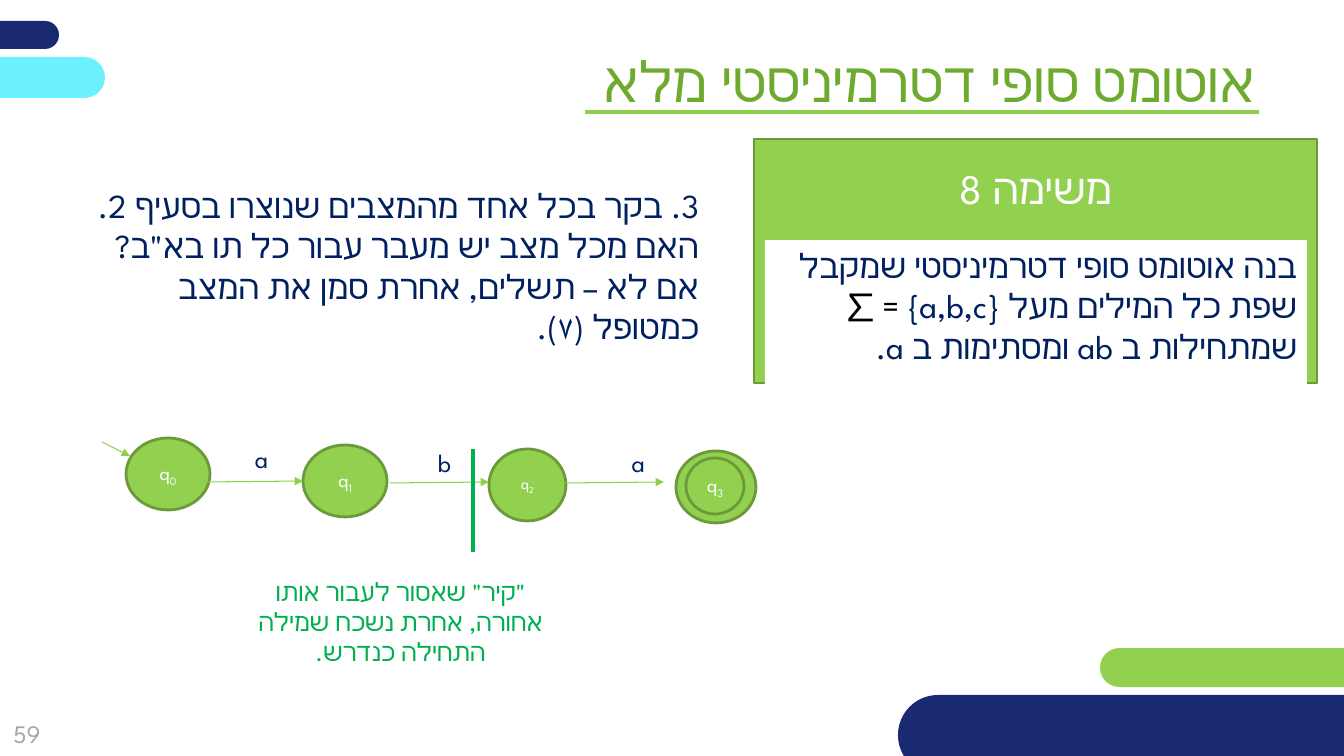
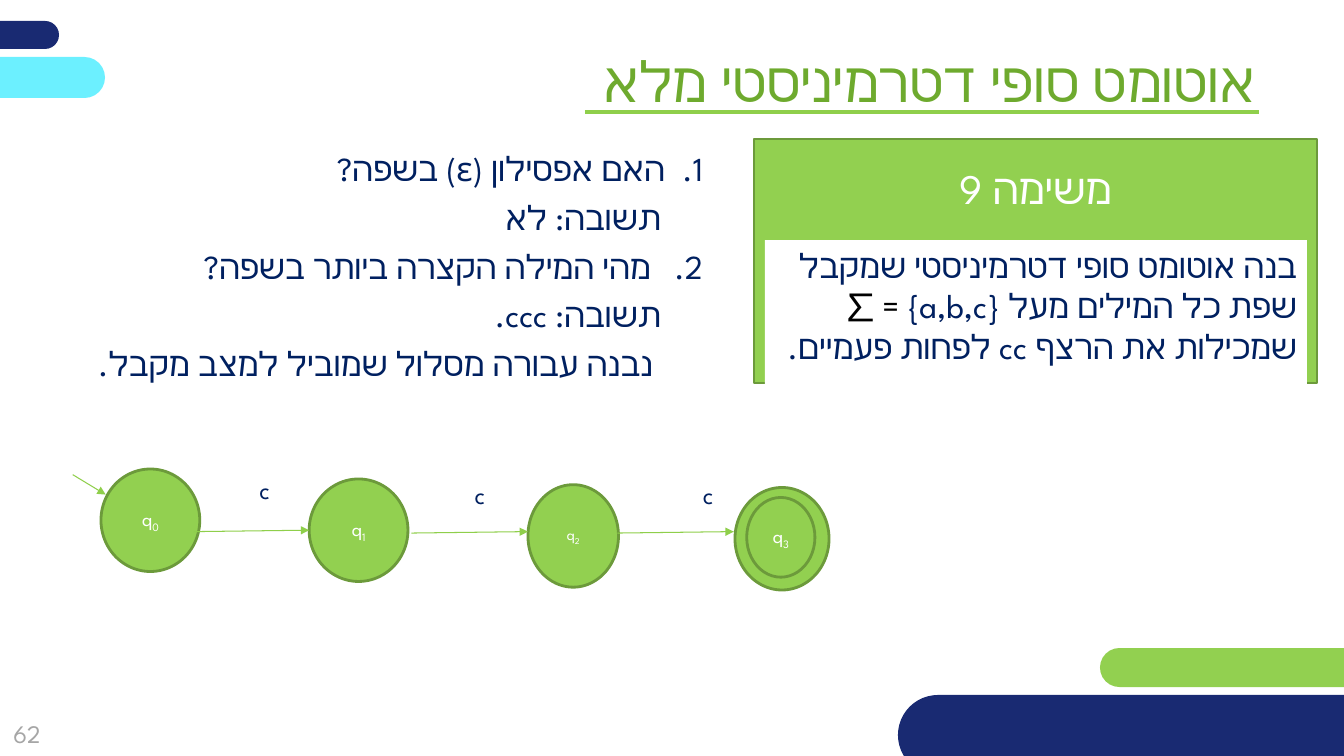
import lxml.etree
import pptx
import pptx.dml.color
import pptx.enum.shapes
import pptx.enum.text
import pptx.oxml.ns
import pptx.util

RGB = pptx.dml.color.RGBColor
SHAPE = pptx.enum.shapes.MSO_SHAPE
ALIGN = pptx.enum.text.PP_ALIGN
ANCHOR = pptx.enum.text.MSO_ANCHOR
qn = pptx.oxml.ns.qn

SLIDE_W, SLIDE_H = 1344, 756
EMU_PER_PX = 12192000 / SLIDE_W
FONT = "League Spartan"

WHITE = RGB(0xFF, 0xFF, 0xFF)
BLACK = RGB(0x00, 0x00, 0x00)
NAVY = RGB(0x19, 0x2A, 0x72)
CYAN = RGB(0x6C, 0xF0, 0xFF)
GREEN = RGB(0x92, 0xD0, 0x50)
RULE_GREEN = RGB(0x8F, 0xCF, 0x4B)
OUTLINE_GREEN = RGB(0x6C, 0x9A, 0x3B)
TITLE_GREEN = RGB(0x6E, 0xAA, 0x2E)
WALL_GREEN = RGB(0x00, 0xB0, 0x50)
INK = RGB(0x00, 0x20, 0x60)
GREY = RGB(0xA6, 0xA6, 0xA6)

TITLE = "אוטומט סופי דטרמיניסטי מלא"
TASK_OPENING = "בנה אוטומט סופי דטרמיניסטי שמקבל שפת כל המילים מעל {a,b,c} "

# Left, top, width, height and colour of the rounded bands
BANDS = [
    (-268, 21, 327, 28, NAVY),
    (1100, 648, 525, 39, GREEN),
    (-223, 57, 328, 41, CYAN),
    (898, 695, 571, 80, NAVY),
]

# The automaton, drawn in a box of this size and stretched to fit
CHAIN_W, CHAIN_H = 630, 85
STATES = [(0, 0, 84, 72, 14), (177, 7, 84, 72, 14), (363, 11, 77, 72, 11)]
ACCEPTING_W, ACCEPTING_H, ACCEPTING_TOP = 80, 72, 13
ARROWS = [
    (-24, 4, 4, 18),
    (79, 44, 177, 43),
    (264, 45, 363, 44),
    (439, 45, 538, 44),
]
LABELS = [(113, 0, 39), (283, 4, 52), (464, 4, 65)]


def px(*lengths):
    return [pptx.util.Emu(round(length * EMU_PER_PX)) for length in lengths]


def format_run(run, size, color):
    run.font.size = pptx.util.Pt(size)
    run.font.name = FONT
    run.font.color.rgb = color
    script_font = lxml.etree.SubElement(run.font._element, qn("a:cs"))
    script_font.set("typeface", FONT)


def write(paragraph, parts, size, align):
    """Write (text, colour) parts as one right-to-left paragraph."""
    paragraph.alignment = align
    paragraph._p.get_or_add_pPr().set("rtl", "1")
    for text, color in parts:
        run = paragraph.add_run()
        run.text = text
        format_run(run, size, color)


def prepare(frame, anchor=ANCHOR.TOP, inset=True):
    frame.word_wrap = True
    frame.auto_size = pptx.enum.text.MSO_AUTO_SIZE.NONE
    frame.vertical_anchor = anchor
    if not inset:
        frame.margin_left = frame.margin_right = 0
        frame.margin_top = frame.margin_bottom = 0
    return frame


def add_box(slide, kind, box, fill, outline=None):
    box_shape = slide.shapes.add_shape(kind, *px(*box))
    box_shape.shadow.inherit = False
    box_shape.fill.solid()
    box_shape.fill.fore_color.rgb = fill
    if outline is None:
        box_shape.line.fill.background()
    else:
        box_shape.line.color.rgb = outline
        box_shape.line.width = pptx.util.Pt(2)
    return box_shape


def add_line(slide, ends, color, width, arrow=False):
    line = slide.shapes.add_connector(
        pptx.enum.shapes.MSO_CONNECTOR.STRAIGHT, *px(*ends))
    line.line.color.rgb = color
    line.line.width = pptx.util.Pt(width)
    if arrow:
        tail = lxml.etree.SubElement(line.line._get_or_add_ln(), qn("a:tailEnd"))
        tail.set("type", "triangle")
    lxml.etree.SubElement(line._element.spPr, qn("a:effectLst"))
    return line


def add_label(slide, box, text, size, color, align, anchor=ANCHOR.TOP, inset=True):
    label = slide.shapes.add_textbox(*px(*box))
    frame = prepare(label.text_frame, anchor, inset)
    write(frame.paragraphs[0], [(text, color)], size, align)


def place(placeholder, box):
    placeholder.left, placeholder.top, placeholder.width, placeholder.height = px(*box)
    return prepare(placeholder.text_frame)


def decorate_layout(layout, slide):
    """Draw the bands and the title rule, then hand them to the layout."""
    decorations = []
    for *box, color in BANDS:
        band = add_box(slide, SHAPE.ROUNDED_RECTANGLE, box, color)
        band.adjustments[0] = 0.5
        decorations.append(band)
    decorations.append(add_line(slide, (585, 112, 1259, 112), RULE_GREEN, 2.25))
    for number, decoration in enumerate(decorations, 100):
        decoration.element.xpath(".//p:cNvPr")[0].set("id", str(number))
        layout.shapes.element.append(decoration.element)


def add_heading(slide, page):
    frame = place(slide.shapes.title, (444, 41, 822, 78))
    write(frame.paragraphs[0], [(TITLE, TITLE_GREEN)], 40, ALIGN.RIGHT)
    add_label(slide, (0, 705, 54, 57), page, 18, GREY, ALIGN.CENTER,
              ANCHOR.MIDDLE, inset=False)


def add_task(slide, box, name, condition):
    """Green card with the task name above its white statement."""
    left, top, width, height = box
    card = add_box(slide, SHAPE.RECTANGLE, box, GREEN, OUTLINE_GREEN)
    frame = prepare(card.text_frame, ANCHOR.MIDDLE, inset=False)
    frame.margin_bottom = px(height - 97)[0]
    write(frame.paragraphs[0], [(name, WHITE)], 30, ALIGN.CENTER)

    statement = add_box(slide, SHAPE.RECTANGLE,
                        (left + 11, top + 101, width - 21, 173), WHITE)
    parts = [(TASK_OPENING, INK), ("= ∑ ", BLACK), (condition, INK)]
    write(prepare(statement.text_frame).paragraphs[0], parts, 24, ALIGN.RIGHT)


def add_steps(slide, box, steps, align, gap=0):
    """Fill the body with (text, indent, number or None) steps."""
    frame = place(slide.placeholders[1], box)
    for index, (text, indent, number) in enumerate(steps):
        paragraph = frame.add_paragraph() if index else frame.paragraphs[0]
        paragraph.space_before = pptx.util.Pt(0)
        paragraph.space_after = pptx.util.Pt(gap)
        properties = paragraph._p.get_or_add_pPr()
        margin = px(indent)[0]
        properties.set("marL", str(margin))
        properties.set("indent", str(-margin if number else 0))
        if number:
            bullet = lxml.etree.SubElement(properties, qn("a:buAutoNum"))
            bullet.set("type", "arabicPeriod")
            bullet.set("startAt", str(number))
        else:
            lxml.etree.SubElement(properties, qn("a:buNone"))
        write(paragraph, [(text, INK)], 24, align)


def add_state(slide, box, index=None, size=14):
    state = add_box(slide, SHAPE.OVAL, box, GREEN, OUTLINE_GREEN)
    if index is None:
        return
    frame = prepare(state.text_frame, ANCHOR.MIDDLE, inset=False)
    paragraph = frame.paragraphs[0]
    write(paragraph, [("q", WHITE), (str(index), WHITE)], size, ALIGN.CENTER)
    paragraph.runs[1].font._element.set("baseline", "-25000")


def add_automaton(slide, box, symbols, accepting_left):
    """Chain of states; accepting_left is in units of the unstretched chain."""
    left, top, width, height = box
    scale_x, scale_y = width / CHAIN_W, height / CHAIN_H

    def at(x, y):
        return left + x * scale_x, top + y * scale_y

    def fit(x, y, w, h):
        return *at(x, y), w * scale_x, h * scale_y

    # States, the last one with a double ring
    for index, (*state_box, size) in enumerate(STATES):
        add_state(slide, fit(*state_box), index, size)
    add_state(slide, fit(accepting_left, ACCEPTING_TOP, ACCEPTING_W, ACCEPTING_H))
    add_state(slide, fit(accepting_left + 10, ACCEPTING_TOP + 7, 58, 56), len(STATES))

    # Transitions and their symbols
    for x1, y1, x2, y2 in ARROWS:
        add_line(slide, (*at(x1, y1), *at(x2, y2)), RULE_GREEN, 0.75, arrow=True)
    for symbol, (x, y, w) in zip(symbols, LABELS):
        add_label(slide, fit(x, y, w, 40), symbol, 18, INK, ALIGN.RIGHT)


def add_wall(slide, x, top, height):
    """Wall between two states, with its explanation below."""
    add_line(slide, (x, top, x, top + height), WALL_GREEN, 2.25)
    add_label(slide, (x - 243, top + height + 19, 341, 102),
              '"קיר" שאסור לעבור אותו אחורה, אחרת נשכח שמילה התחילה כנדרש.',
              18, WALL_GREEN, ALIGN.CENTER)


def build_task_8(slide):
    add_heading(slide, "59")
    add_task(slide, (754, 139, 563, 244), "משימה 8",
             "שמתחילות ב ab ומסתימות ב a.")
    add_automaton(slide, (126, 438, 630, 85), "aba", 550)
    add_steps(slide, (62, 180, 647, 173), [
        ('3. בקר בכל אחד מהמצבים שנוצרו בסעיף 2. האם מכל מצב יש מעבר עבור '
         'כל תו בא"ב? אם לא – תשלים, אחרת סמן את המצב כמטופל (٧).', 0, None),
    ], ALIGN.RIGHT)
    add_wall(slide, 473, 449, 103)


def build_task_9(slide):
    add_heading(slide, "62")
    add_task(slide, (754, 139, 563, 244), "משימה 9",
             "שמכילות את הרצף cc לפחות פעמיים.")
    add_steps(slide, (40, 143, 673, 297), [
        ("האם אפסילון (ε) בשפה?", 38, 1),
        ("תשובה: לא", 42, None),
        ("מהי המילה הקצרה ביותר בשפה?", 52, 2),
        ("תשובה: ccc.", 42, None),
        ("נבנה עבורה מסלול שמוביל למצב מקבל.", 50, None),
    ], ALIGN.JUSTIFY, gap=6)
    add_automaton(slide, (101, 469, 741, 121), "ccc", 539)


def main():
    deck = pptx.Presentation()
    deck.slide_width, deck.slide_height = px(SLIDE_W, SLIDE_H)
    layout = deck.slide_layouts[1]
    first, second = [deck.slides.add_slide(layout) for _ in range(2)]
    decorate_layout(layout, first)
    build_task_8(first)
    build_task_9(second)
    deck.save("out.pptx")


if __name__ == "__main__":
    main()
